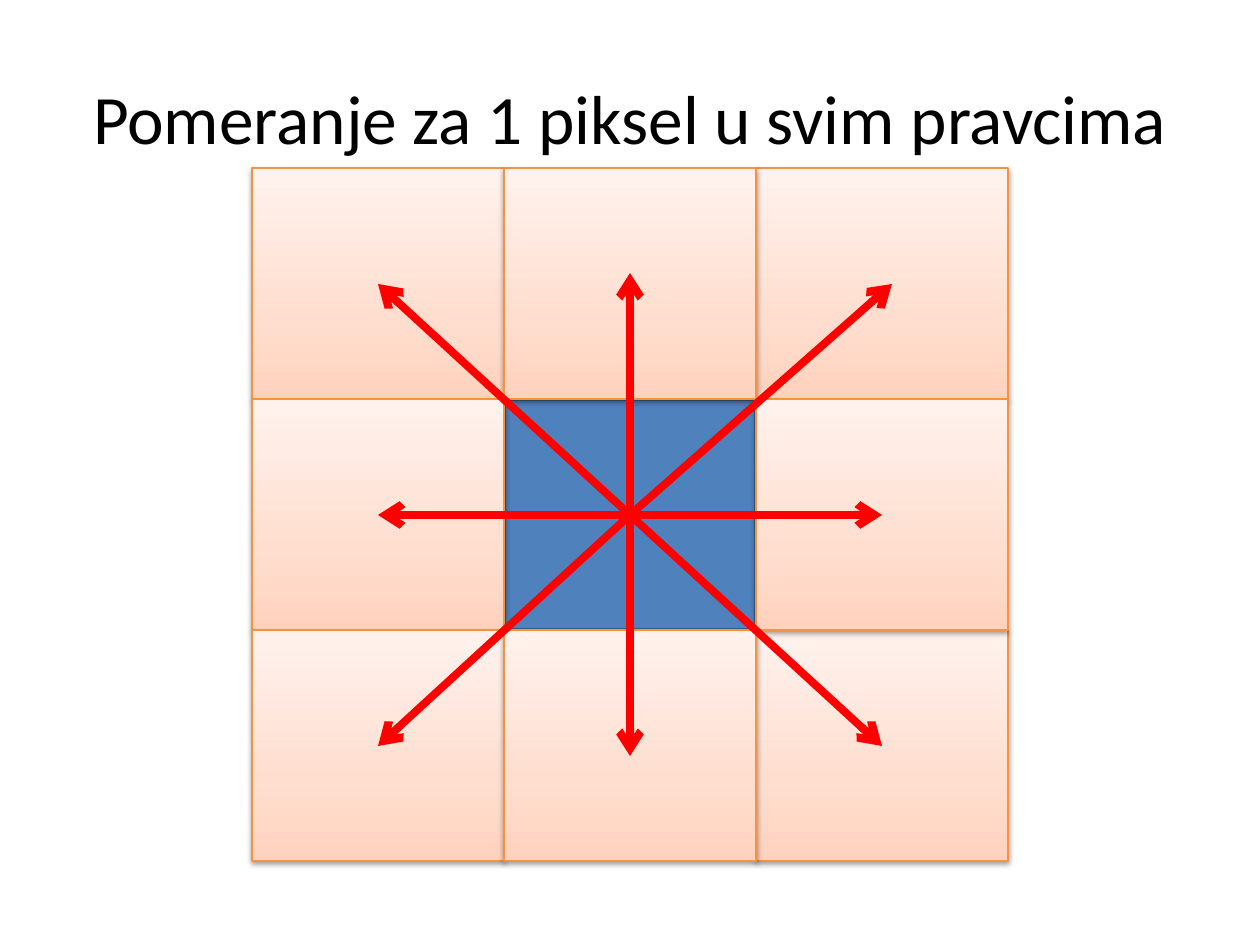
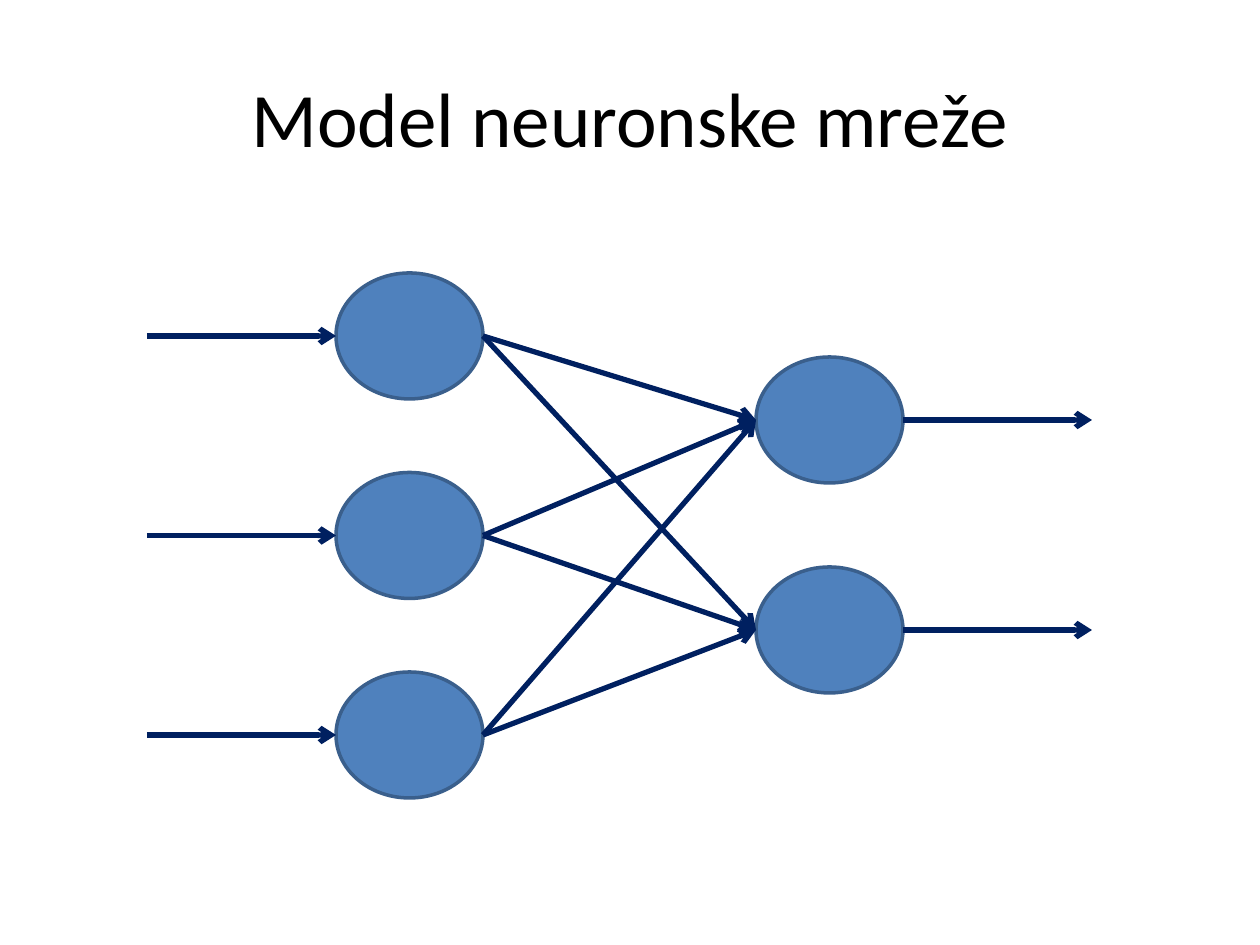
from copy import deepcopy

from lxml import etree
from pptx import Presentation
from pptx import util as u
from pptx.dml.color import RGBColor
from pptx.enum import shapes, text
from pptx.oxml import parse_xml
from pptx.oxml.ns import nsdecls, qn

PX = u.Inches(1) / 126  # EMU in one px

SHADOW = (
    f'<a:effectLst {nsdecls("a")}>'
    '<a:outerShdw blurRad="40000" dist="20000" dir="5400000" rotWithShape="0">'
    '<a:srgbClr val="000000"><a:alpha val="38000"/></a:srgbClr>'
    '</a:outerShdw></a:effectLst>'
)


def px(length):
    return u.Emu(round(length * PX))


def rgb(value):
    return RGBColor.from_string(value)


class Deck:
    FONT = "Calibri"
    TITLE = "000000"
    BLUE, BLUE_EDGE = "4F81BD", "3A5F8C"
    PEACH_EDGE = "F69240"
    PEACH_STOPS = [(0, "FFD2BD"), (0.35, "FFDED0"), (1, "FFF2ED")]

    def __init__(self, width, height):
        self.prs = Presentation()
        self.prs.slide_width, self.prs.slide_height = px(width), px(height)
        self.slide = None

    def new_slide(self, title, size=44):
        self.slide = self.prs.slides.add_slide(self.prs.slide_layouts[6])
        box = self.slide.shapes.add_textbox(px(63), px(38), px(1134), px(157))
        frame = box.text_frame
        frame.word_wrap = True
        frame.vertical_anchor = text.MSO_ANCHOR.MIDDLE
        heading = frame.paragraphs[0]
        heading.text = title
        heading.alignment = text.PP_ALIGN.CENTER
        heading.font.name = self.FONT
        heading.font.size = u.Pt(size)
        heading.font.color.rgb = rgb(self.TITLE)

    def _shape(self, kind, box, edge, weight):
        shape = self.slide.shapes.add_shape(kind, *map(px, box))
        shape.shadow.inherit = False
        shape.line.color.rgb = rgb(edge)
        shape.line.width = u.Pt(weight)
        return shape

    def blue(self, kind, *box):
        shape = self._shape(kind, box, self.BLUE_EDGE, 2)
        shape.fill.solid()
        shape.fill.fore_color.rgb = rgb(self.BLUE)

    def peach(self, kind, *box):
        shape = self._shape(kind, box, self.PEACH_EDGE, 0.75)
        shape.fill.gradient()
        shape.fill.gradient_angle = 90
        # The default gradient has two stops; add the third
        stop_list = shape._element.xpath(".//a:gsLst")[0]
        stop_list.append(deepcopy(stop_list[-1]))
        for stop, (position, color) in zip(shape.fill.gradient_stops, self.PEACH_STOPS):
            stop.position = position
            stop.color.rgb = rgb(color)
        properties = shape._element.spPr
        properties.replace(properties.find(qn("a:effectLst")), parse_xml(SHADOW))

    def arrow(self, start, end, color, weight):
        line = self.slide.shapes.add_connector(
            shapes.MSO_CONNECTOR.STRAIGHT, *map(px, (*start, *end)))
        line.line.color.rgb = rgb(color)
        line.line.width = u.Pt(weight)
        etree.SubElement(line.line._get_or_add_ln(), qn("a:tailEnd"), type="arrow")
        etree.SubElement(line._element.spPr, qn("a:effectLst"))


def pixel_shift(deck):
    deck.new_slide("Pomeranje za 1 piksel u svim pravcima", 39.6)
    left, top, width, height = 252, 168, 252, 231
    rect = shapes.MSO_SHAPE.RECTANGLE

    # Central pixel and its neighbours (column, row), from back to front
    deck.blue(rect, left + width, top + height, width, height)
    neighbours = [(0, 0), (2, 2), (2, 0), (0, 1), (0, 2), (2, 1), (1, 0), (1, 2)]
    for column, row in neighbours:
        deck.peach(rect, left + column * width, top + row * height, width, height)

    # Shift directions
    center = (630, 515)
    tips = [(630, 273), (630, 756), (378, 515), (882, 515),
            (378, 746), (378, 284), (892, 284), (882, 746)]
    for tip in tips:
        deck.arrow(center, tip, "FF0000", 4.5)


def neural_network(deck):
    deck.new_slide("Model neuronske mreže")
    width, height, reach = 147, 126, 189
    input_left, output_left = 336, 756
    input_rows = [336 + 199.5 * i for i in range(3)]
    output_rows = [420, 630]
    signal = ("002060", 3)

    # Neurons, placed by their middle height
    for left, rows in ((input_left, input_rows), (output_left, output_rows)):
        for middle in rows:
            deck.blue(shapes.MSO_SHAPE.OVAL, left, middle - height / 2, width, height)

    # Signals into, between and out of the layers
    for middle in input_rows:
        deck.arrow((input_left - reach, middle), (input_left, middle), *signal)
        for target in output_rows:
            deck.arrow((input_left + width, middle), (output_left, target), *signal)
    for middle in output_rows:
        right = output_left + width
        deck.arrow((right, middle), (right + reach, middle), *signal)


def main():
    deck = Deck(1260, 945)
    pixel_shift(deck)
    neural_network(deck)
    deck.prs.save("out.pptx")


if __name__ == "__main__":
    main()
